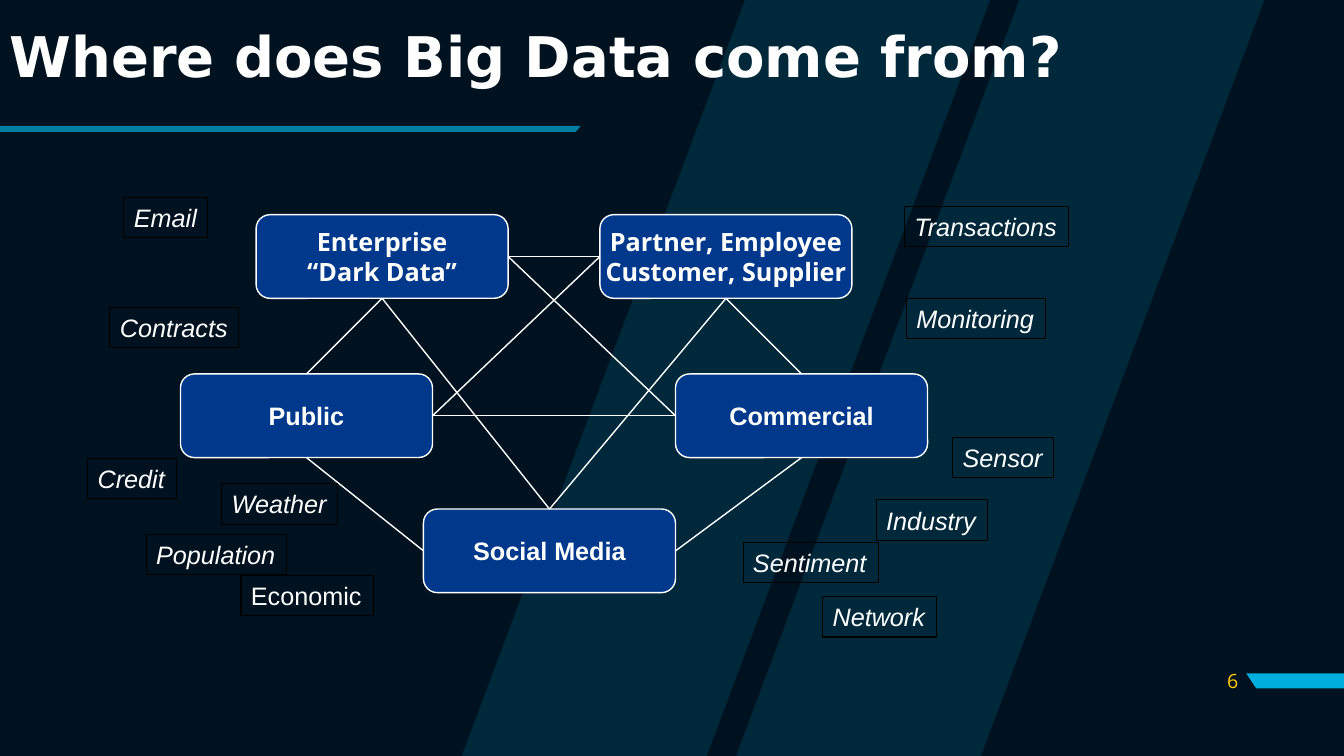
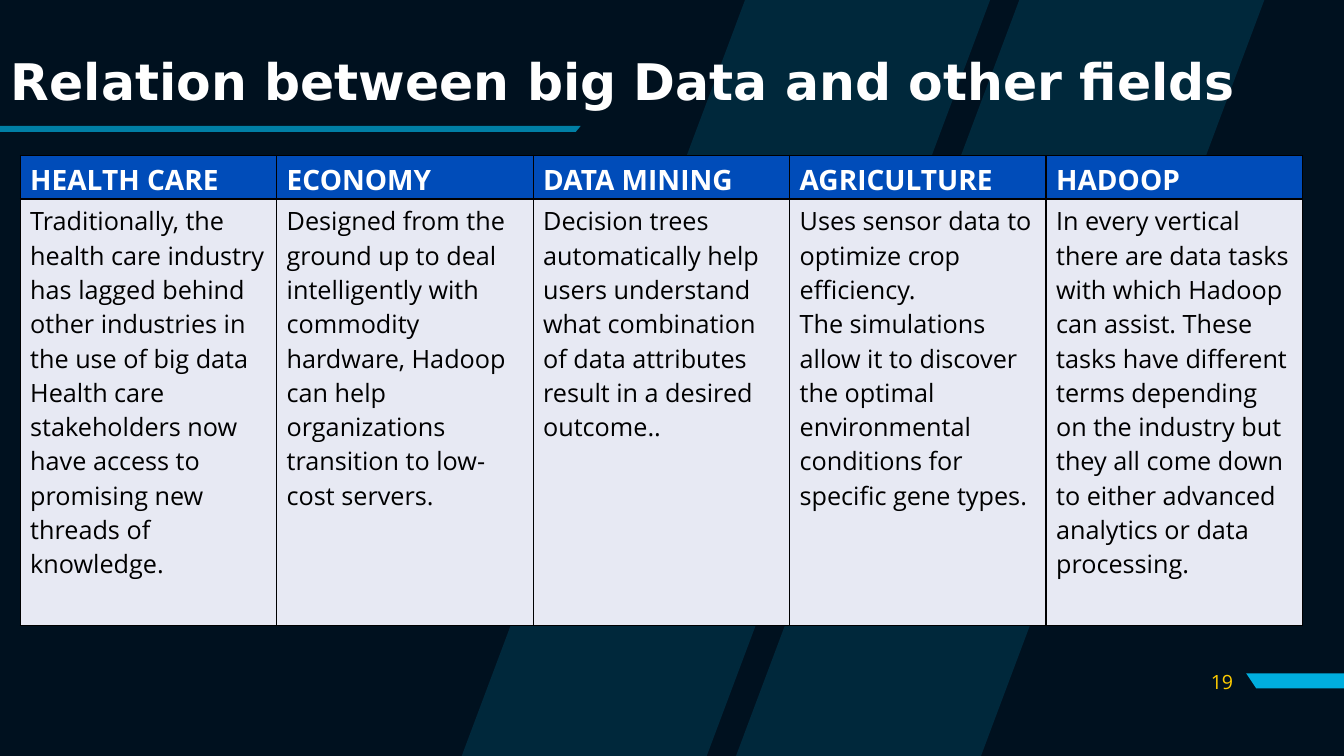
from lxml import etree
from pptx import Presentation
from pptx.dml.color import RGBColor
from pptx.enum import shapes as kinds, text as txt
from pptx.oxml import ns
from pptx.util import Inches, Pt

NIGHT = RGBColor(0x00, 0x11, 0x1F)
CYAN = RGBColor(0x00, 0xAE, 0xDE)
NAVY = RGBColor(0x00, 0x39, 0x8B)
HEADER_BLUE = RGBColor(0x00, 0x4C, 0xB9)
PALE = RGBColor(0xE7, 0xE9, 0xF3)
GOLD = RGBColor(0xFF, 0xCD, 0x00)
WHITE = RGBColor(0xFF, 0xFF, 0xFF)
BLACK = RGBColor(0x00, 0x00, 0x00)
TITLE_FONT, BODY_FONT, LABEL_FONT = "DejaVu Sans", "Open Sans", "Arial"

# Background bands: outlines and opacity in percent
BANDS = [
    ([(10.11, 0), (7.3, 7.5), (9.73, 7.5), (12.54, 0)], 15),
    ([(7.39, 0), (4.58, 7.5), (7.01, 7.5), (9.82, 0)], 15),
    ([(13.34, 6.68), (13.34, 6.83), (12.46, 6.83), (12.36, 6.68)], 100),
    ([(0, 1.25), (0, 1.31), (5.71, 1.31), (5.76, 1.25)], 70),
]

# Data sources: left, top, font, text
NODE_SIZE = (2.5, 0.83)
SOURCES = {
    "enterprise": (2.54, 2.13, BODY_FONT, "Enterprise\v“Dark Data”"),
    "partner": (5.95, 2.13, BODY_FONT, "Partner, Employee\vCustomer, Supplier"),
    "public": (1.79, 3.71, LABEL_FONT, "Public"),
    "commercial": (6.7, 3.71, LABEL_FONT, "Commercial"),
    "social": (4.2, 5.05, LABEL_FONT, "Social Media"),
}
TOP, LEFT, BOTTOM, RIGHT = range(4)
LINKS = [
    ("partner", LEFT, "enterprise", RIGHT),
    ("partner", LEFT, "public", RIGHT),
    ("partner", BOTTOM, "social", TOP),
    ("partner", BOTTOM, "commercial", TOP),
    ("enterprise", BOTTOM, "social", TOP),
    ("enterprise", BOTTOM, "public", TOP),
    ("public", BOTTOM, "social", LEFT),
    ("commercial", BOTTOM, "social", RIGHT),
    ("enterprise", RIGHT, "commercial", LEFT),
    ("commercial", LEFT, "public", RIGHT),
]
# Example labels: left, top, width, text
EXAMPLES = [
    (8.97, 2.05, 1.63, "Transactions"),
    (8.99, 2.96, 1.38, "Monitoring"),
    (9.45, 4.34, 1.0, "Sensor"),
    (2.39, 5.71, 1.31, "Economic"),
    (1.45, 5.3, 1.39, "Population"),
    (7.37, 5.38, 1.34, "Sentiment"),
    (1.23, 1.96, 0.83, "Email"),
    (1.09, 3.05, 1.28, "Contracts"),
    (8.16, 5.92, 1.13, "Network"),
    (8.69, 4.96, 1.1, "Industry"),
    (0.87, 4.55, 0.88, "Credit"),
    (2.2, 4.8, 1.15, "Weather"),
]
UPRIGHT = {"Economic"}

# Fields: heading and paragraphs
FIELDS = [
    ("HEALTH CARE",
     "Traditionally, the health care industry has lagged behind other "
     "industries in the use of big data\n"
     "Health care stakeholders now have access to promising new threads of "
     "knowledge."),
    ("ECONOMY",
     "Designed from the ground up to deal intelligently with commodity "
     "hardware, Hadoop can help organizations transition to low-cost servers."),
    ("DATA MINING",
     "Decision trees automatically help users understand what combination of "
     "data attributes result in a desired outcome.."),
    ("AGRICULTURE",
     "Uses sensor data to optimize crop efficiency.\n"
     "The simulations allow it to discover the optimal environmental "
     "conditions for specific gene types."),
    ("HADOOP",
     "In every vertical there are data tasks with which Hadoop can assist. "
     "These tasks have different terms depending on the industry but they all "
     "come down to either advanced analytics or data processing."),
]


def write(frame, content, size=18, font=BODY_FONT, color=WHITE, bold=False,
          italic=False, align=txt.PP_ALIGN.LEFT, anchor=txt.MSO_ANCHOR.MIDDLE,
          wrap=True, spacing=None):
    frame.text = content
    frame.word_wrap = wrap
    frame.vertical_anchor = anchor
    for paragraph in frame.paragraphs:
        paragraph.alignment = align
        if spacing:
            paragraph.line_spacing = spacing
        for run in paragraph.runs:
            run.font.size, run.font.name = Pt(size), font
            run.font.bold, run.font.italic = bold, italic
            run.font.color.rgb = color


def add_band(slide, outline, opacity):
    points = [(Inches(x), Inches(y)) for x, y in outline]
    builder = slide.shapes.build_freeform(*points[0])
    builder.add_line_segments(points[1:], close=True)
    band = builder.convert_to_shape()
    band.shadow.inherit = False
    band.line.fill.background()
    band.fill.solid()
    band.fill.fore_color.rgb = CYAN
    if opacity < 100:
        color = band.fill._xPr.find(".//" + ns.qn("a:srgbClr"))
        etree.SubElement(color, ns.qn("a:alpha"), val=str(opacity * 1000))


def add_box(slide, preset, place, fill, line, width):
    box = slide.shapes.add_shape(preset, *map(Inches, place))
    box.shadow.inherit = False
    if fill is None:
        box.fill.background()
    else:
        box.fill.solid()
        box.fill.fore_color.rgb = fill
    box.line.color.rgb = line
    box.line.width = Pt(width)
    return box


def add_text(slide, place, content, **style):
    box = slide.shapes.add_textbox(*map(Inches, place))
    write(box.text_frame, content, **style)


def start_slide(deck, title, title_place, title_size, number, number_place):
    slide = deck.slides.add_slide(deck.slide_layouts[6])
    slide.background.fill.solid()
    slide.background.fill.fore_color.rgb = NIGHT
    for outline, opacity in BANDS:
        add_band(slide, outline, opacity)
    add_text(slide, title_place, title, size=title_size, font=TITLE_FONT,
             bold=True, anchor=txt.MSO_ANCHOR.BOTTOM, spacing=0.9)
    add_text(slide, number_place, number, size=14, color=GOLD,
             align=txt.PP_ALIGN.RIGHT)
    return slide


def link(slide, start, start_side, end, end_side):
    line = slide.shapes.add_connector(kinds.MSO_CONNECTOR.STRAIGHT, 0, 0, 0, 0)
    line.begin_connect(start, start_side)
    line.end_connect(end, end_side)
    line.line.color.rgb = WHITE
    line.line.width = Pt(1)
    etree.SubElement(line._element.spPr, ns.qn("a:effectLst"))


def add_borders(cell):
    properties = cell._tc.get_or_add_tcPr()
    for side in ("lnL", "lnR", "lnT", "lnB"):
        border = etree.SubElement(properties, ns.qn("a:" + side), w=str(Pt(1)))
        solid = etree.SubElement(border, ns.qn("a:solidFill"))
        etree.SubElement(solid, ns.qn("a:srgbClr"), val=str(BLACK))


def build_sources(deck):
    slide = start_slide(deck, "Where does Big Data come from?",
                        (0, 0.06, 11.5, 0.88), 40, "6", (11.78, 6.55, 0.6, 0.4))
    nodes = {}
    for key, (left, top, font, name) in SOURCES.items():
        nodes[key] = add_box(slide, kinds.MSO_SHAPE.ROUNDED_RECTANGLE,
                             (left, top, *NODE_SIZE), NAVY, WHITE, 1)
        write(nodes[key].text_frame, name, font=font, bold=True,
              align=txt.PP_ALIGN.CENTER, wrap=False)
    for start, start_side, end, end_side in LINKS:
        link(slide, nodes[start], start_side, nodes[end], end_side)
    for left, top, width, name in EXAMPLES:
        label = add_box(slide, kinds.MSO_SHAPE.RECTANGLE,
                        (left, top, width, 0.4), None, BLACK, 0.75)
        write(label.text_frame, name, font=LABEL_FONT, wrap=False,
              italic=name not in UPRIGHT, anchor=txt.MSO_ANCHOR.TOP)
        label.text_frame.auto_size = txt.MSO_AUTO_SIZE.SHAPE_TO_FIT_TEXT


def build_fields(deck):
    slide = start_slide(deck, "Relation between big Data and other fields",
                        (0.01, 0.07, 13.11, 1.08), 36,
                        "19", (11.73, 6.56, 0.6, 0.4))
    table = slide.shapes.add_table(2, len(FIELDS), Inches(0.2), Inches(1.54),
                                   Inches(12.72), Inches(4.58)).table
    table.first_row = table.horz_banding = False
    row_styles = [
        (0.35, HEADER_BLUE, dict(size=20, bold=True)),
        (4.23, PALE, dict(color=BLACK)),
    ]
    for row, (height, fill, style) in enumerate(row_styles):
        table.rows[row].height = Inches(height)
        for column, field in enumerate(FIELDS):
            cell = table.cell(row, column)
            add_borders(cell)
            cell.fill.solid()
            cell.fill.fore_color.rgb = fill
            write(cell.text_frame, field[row], anchor=txt.MSO_ANCHOR.TOP, **style)


def main():
    deck = Presentation()
    deck.slide_width, deck.slide_height = Inches(13.33), Inches(7.5)
    build_sources(deck)
    build_fields(deck)
    deck.save("out.pptx")


if __name__ == "__main__":
    main()
